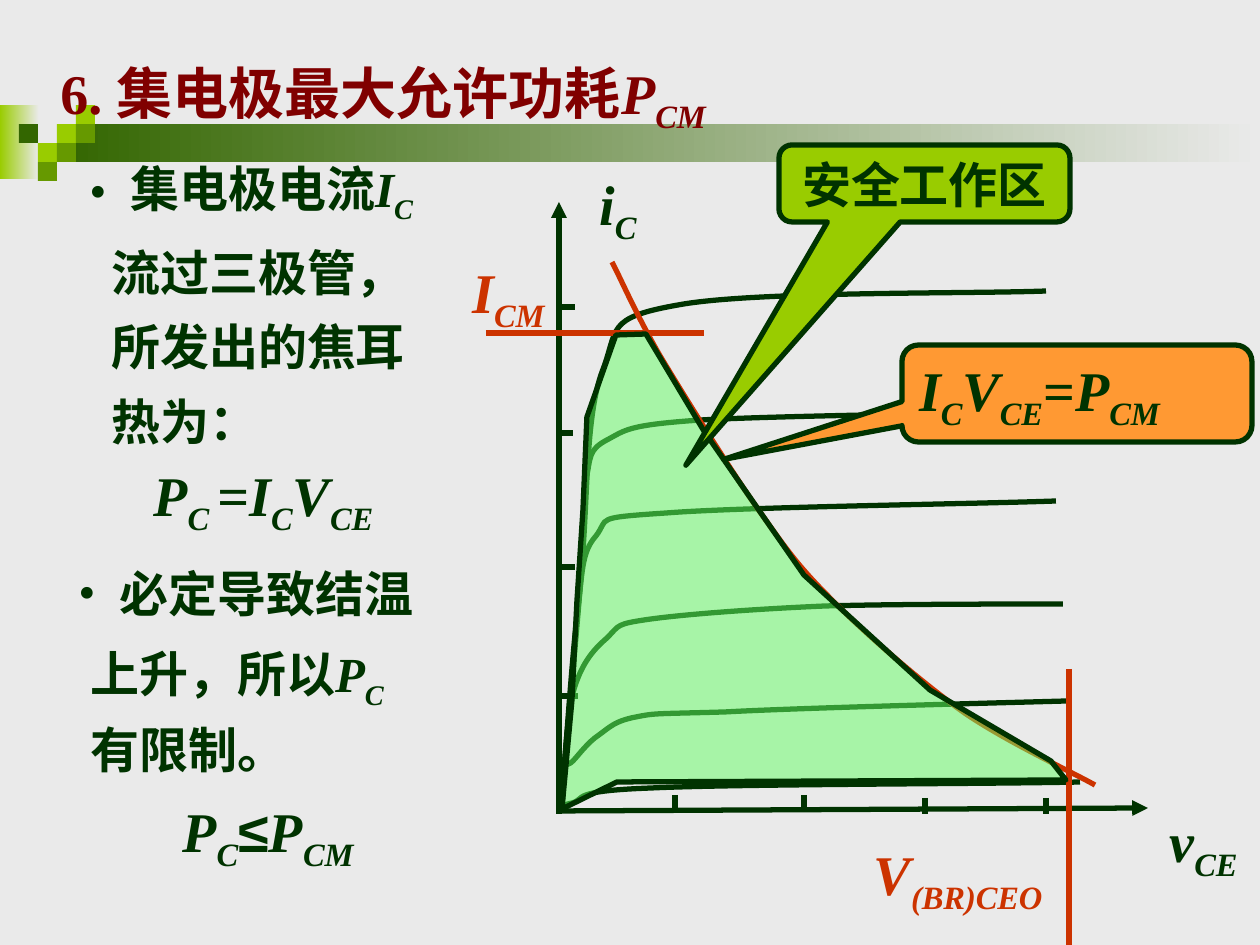
from lxml.etree import SubElement as sub
from pptx import Presentation
from pptx.dml.color import RGBColor
from pptx.enum.shapes import MSO_CONNECTOR as Conn, MSO_SHAPE as Kind
from pptx.enum.text import MSO_ANCHOR as Anchor, PP_ALIGN as Align
from pptx.oxml.ns import qn
from pptx.util import Pt

EMU = 914400 / 126
INK, RED, PALE = "003300", "CC3300", "EAEAEA"
LIME, LEAF, MOSS = "99CC00", "669900", "336600"
SUB = {"C": ("C", "s"), "CM": ("CM", "s"), "CE": ("CE", "s")}

CURVES = [
    [(562, 811), (563, 810), (557, 806), (572, 803), (587, 799), (567, 791), (651, 788),
     (736, 784), (990, 784), (1080, 782)],
    [(562, 811), (562, 804), (563, 777), (564, 770), (567, 761), (567, 767), (573, 761),
     (578, 756), (588, 742), (599, 735), (610, 727), (615, 721), (636, 717),
     (656, 713), (654, 714), (725, 712), (796, 708), (995, 703), (1066, 701)],
    [(561, 811), (563, 791), (566, 722), (573, 693), (581, 664), (593, 650), (607, 638),
     (620, 625), (615, 624), (651, 619), (688, 614), (756, 609), (825, 606),
     (893, 604), (1014, 604), (1063, 604)],
    [(562, 803), (564, 772), (572, 660), (577, 616), (583, 572), (581, 553), (596, 536),
     (610, 518), (591, 518), (667, 513), (743, 507), (975, 504), (1056, 501)],
    [(562, 803), (564, 766), (577, 631), (581, 577), (585, 523), (582, 503), (586, 480),
     (591, 457), (588, 450), (607, 440), (626, 430), (627, 425), (702, 420),
     (775, 416), (975, 413), (1048, 412)],
    [(562, 811), (564, 770), (575, 638), (582, 564), (588, 491), (586, 416), (602, 372),
     (619, 329), (604, 318), (678, 305), (752, 291), (969, 294), (1046, 291)],
]
LIMIT = [(612, 262), (620, 277), (635, 312), (659, 354), (684, 396), (731, 471), (760, 512),
         (789, 553), (799, 567), (833, 601), (867, 635), (922, 683), (966, 714),
         (1011, 744), (1068, 770), (1095, 785)]
SAFE = [(562, 809), (572, 701), (577, 601), (583, 510), (587, 417), (616, 335), (646, 334),
        (704, 431), (804, 575), (930, 690), (1051, 761), (1066, 780), (617, 782)]


def px(num):
    """Turn pixels into EMU."""
    return round(num * EMU)


def hue(code):
    """Return the colour of a hex string."""
    return RGBColor.from_string(code)


def pen(line, color):
    """Give a line its colour and the common width."""
    line.color.rgb = hue(color)
    line.width = Pt(3)


def rect(shapes, box, color, fade=None):
    """Draw a plain block, fading to a second colour if given."""
    form = shapes.add_shape(Kind.RECTANGLE, *map(px, box))
    form.shadow.inherit = False
    form.line.fill.background()
    if fade:
        form.fill.gradient()
        form.fill.gradient_angle = 0
        for stop, code in zip(form.fill.gradient_stops, (color, fade)):
            stop.color.rgb = hue(code)
    else:
        form.fill.solid()
        form.fill.fore_color.rgb = hue(color)


def stroke(shapes, start, end, color=INK, arrow=False):
    """Draw a straight line, with an arrowhead at its end if asked."""
    link = shapes.add_connector(Conn.STRAIGHT, *map(px, start + end))
    pen(link.line, color)
    prop = link.element.spPr
    if arrow:
        sub(prop.find(qn("a:ln")), qn("a:tailEnd"), type="triangle")
    sub(prop, qn("a:effectLst"))


def outline(shapes, spots, color, close=False):
    """Draw a freeform through the spots."""
    build = shapes.build_freeform(*spots[0], scale=EMU)
    build.add_line_segments(spots[1:], close=close)
    form = build.convert_to_shape()
    form.shadow.inherit = False
    form.fill.background()
    pen(form.line, color)
    return form


def curve(shapes, spots, color=INK):
    """Draw a chain of Bezier arcs, three spots to an arc."""
    form = outline(shapes, spots, color)
    legs = form.element.findall(".//" + qn("a:lnTo"))
    for arc in zip(legs[::3], legs[1::3], legs[2::3]):
        arc[0].tag
        bend = sub(arc[0].getparent(), qn("a:cubicBezTo"))
        for leg in arc:
            bend.append(leg[0])
            leg.getparent().remove(leg)


def region(shapes, spots):
    """Draw the half clear safe area."""
    form = outline(shapes, spots, INK, True)
    form.fill.solid()
    form.fill.fore_color.rgb = hue("66FF66")
    tint = form.element.spPr.find(qn("a:solidFill"))[0]
    sub(tint, qn("a:alpha"), val="50000")


def write(para, runs, size, color):
    """Add runs; style i is italic, s italic subscript, a Arial."""
    for text, style in runs:
        run = para.add_run()
        run.text = text
        font = run.font
        font.name = "Arial" if style == "a" else "Times New Roman"
        font.size, font.bold = Pt(size), True
        font.italic = style in ("i", "s")
        font.color.rgb = hue(color)
        if style == "s":
            run._r.get_or_add_rPr().set("baseline", "-25000")


def setup(frame, wrap=True):
    """Centre a text frame upright and set its wrapping."""
    frame.word_wrap = wrap
    frame.vertical_anchor = Anchor.MIDDLE


def label(shapes, box, runs, color=INK, align=Align.LEFT, wrap=True):
    """Place one line of large text."""
    frame = shapes.add_textbox(*map(px, box)).text_frame
    setup(frame, wrap)
    para = frame.paragraphs[0]
    para.alignment = align
    write(para, runs, 32, color)


def points(shapes, box, pad, rows):
    """Place a bulleted line with indented lines under it."""
    frame = shapes.add_textbox(*map(px, box)).text_frame
    setup(frame)
    for pos, runs in enumerate(rows):
        para = frame.add_paragraph() if pos else frame.paragraphs[0]
        prop = para._p.get_or_add_pPr()
        prop.set("marL", str(px(pad if pos else 41)))
        if pos:
            para.line_spacing, para.space_before = 0.75, Pt(17.5)
        else:
            prop.set("indent", str(px(-41)))
            sub(prop, qn("a:buFont"), typeface="Times New Roman")
            sub(prop, qn("a:buChar"), char="•")
        write(para, runs, 28, INK)


def callout(shapes, box, tip, color, runs, size, align, wrap):
    """Draw a rounded callout with its text."""
    form = shapes.add_shape(Kind.ROUNDED_RECTANGULAR_CALLOUT, *map(px, box))
    form.shadow.inherit = False
    for pos, num in enumerate(tip + (0.17,)):
        form.adjustments[pos] = num
    form.fill.solid()
    form.fill.fore_color.rgb = hue(color)
    pen(form.line, INK)
    setup(form.text_frame, wrap)
    para = form.text_frame.paragraphs[0]
    para.alignment = align
    write(para, runs, size, INK)


def decor(shapes):
    """Draw the header bar and its squares."""
    rect(shapes, (0, 105, 39, 74), LIME, PALE)
    rect(shapes, (57, 124, 1203, 38), MOSS, PALE)
    for col, row, color in [(3, 1, LIME), (4, 0, LIME), (4, 1, LEAF), (2, 2, LIME),
                            (1, 1, MOSS), (3, 2, LEAF), (2, 3, LEAF)]:
        rect(shapes, (19 * col, 105 + 19 * row, 19, 19), color)


def axes(shapes):
    """Draw both axes with ticks and names."""
    label(shapes, (587, 163, 252, 89), [("i", "i"), SUB["C"]])
    stroke(shapes, (559, 814), (559, 202), arrow=True)
    for left, top in [(562, 696), (559, 567), (557, 433), (559, 307)]:
        stroke(shapes, (left + 16, top), (left, top))
    stroke(shapes, (557, 811), (1148, 808), arrow=True)
    for left, top in [(675, 795), (804, 795), (925, 798), (1046, 798)]:
        stroke(shapes, (left, top), (left, top + 16))
    label(shapes, (1157, 800, 93, 89), [("v", "i"), SUB["CE"]], align=Align.CENTER, wrap=False)


def main():
    """Build and save the slide."""
    deck = Presentation()
    deck.slide_width, deck.slide_height = px(1260), px(945)
    slide = deck.slides.add_slide(deck.slide_layouts[6])
    slide.background.fill.solid()
    slide.background.fill.fore_color.rgb = hue(PALE)
    shapes = slide.shapes
    decor(shapes)
    label(shapes, (48, 52, 887, 89),
          [("6. 集电极最大允许功耗", ""), ("P", "i"), SUB["CM"]], "800000")
    points(shapes, (77, 152, 392, 304), 22,
           [[("集电极电流", ""), ("I", "i"), SUB["C"]], [("流过三极管，", "")],
            [("所发出的焦耳", "")], [("热为：", "")]])
    label(shapes, (141, 454, 299, 89),
          [("P", "i"), ("C ", "s"), ("=", ""), ("I", "i"), SUB["C"], ("V", "i"), SUB["CE"]])
    points(shapes, (66, 554, 459, 233), 12,
           [[("必定导致结温", "")], [("上升，所以", ""), ("P", "i"), SUB["C"]],
            [("有限制。", "")]])
    label(shapes, (170, 790, 291, 89),
          [("P", "i"), SUB["C"], ("≤", "a"), ("P", "i"), SUB["CM"]])
    axes(shapes)
    for spots in CURVES:
        curve(shapes, spots)
    curve(shapes, LIMIT, RED)
    callout(shapes, (902, 345, 350, 97), (-1.01, 0.68), "FF9933",
            [("I", "i"), SUB["C"], ("V", "i"), SUB["CE"], ("=", ""), ("P", "i"), SUB["CM"]],
            32, Align.LEFT, True)
    stroke(shapes, (486, 333), (704, 333), RED)
    label(shapes, (436, 251, 145, 89), [("I", "i"), SUB["CM"]], RED, Align.CENTER)
    stroke(shapes, (1069, 669), (1069, 945), RED)
    label(shapes, (848, 833, 220, 89), [("V", "i"), ("(BR)CEO", "s")], RED, Align.CENTER)
    region(shapes, SAFE)
    callout(shapes, (779, 145, 291, 77), (-0.82, 3.66), LIME,
            [("安全工作区", "")], 28, Align.CENTER, False)
    deck.save("out.pptx")


if __name__ == "__main__":
    main()
